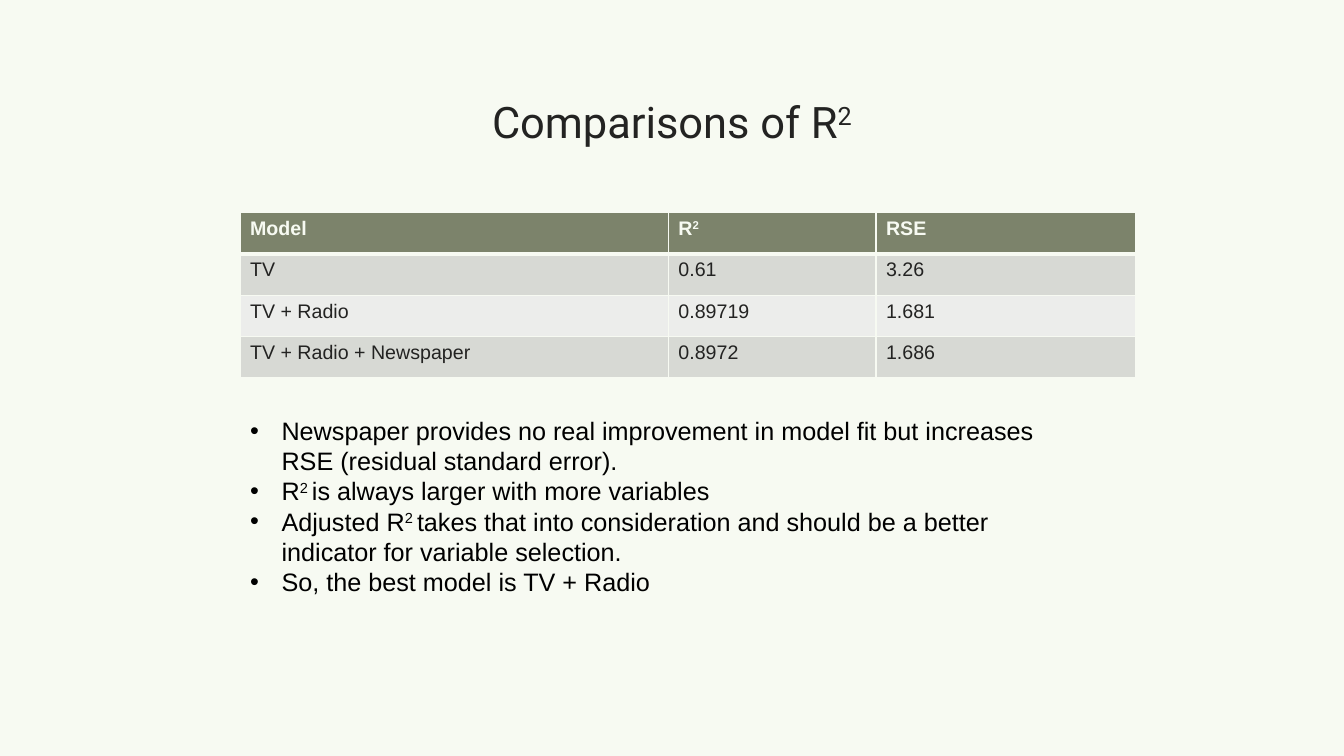
from lxml.etree import SubElement
from pptx import Presentation
from pptx.dml.color import RGBColor
from pptx.enum.text import MSO_ANCHOR as Anchor, MSO_AUTO_SIZE as AutoSize, PP_ALIGN as Align
from pptx.oxml.ns import qn
from pptx.util import Pt

COLORS = {
    "background": "F7FAF2", "ink": "232322", "black": "000000",
    "header": "7C836B", "band_dark": "D7D9D4", "band_light": "ECEDEB",
}
# Text between bars is superscript
TITLE = "Comparisons of R|2|"
ROWS = [
    ("Model", "R|2|", "RSE"),
    ("TV", "0.61", "3.26"),
    ("TV + Radio", "0.89719", "1.681"),
    ("TV + Radio + Newspaper", "0.8972", "1.686"),
]
COLUMN_WIDTHS = (306, 148.3, 185.8)
POINTS = [
    "Newspaper provides no real improvement in model fit but increases RSE (residual standard error).",
    "R|2 |is always larger with more variables",
    "Adjusted R|2 |takes that into consideration and should be a better indicator for variable selection.",
    "So, the best model is TV + Radio",
]


def color(name):
    return RGBColor.from_string(COLORS[name])


def write(paragraph, text, size, color_name, font="Arial", bold=False):
    for index, piece in enumerate(text.split("|")):
        if not piece:
            continue
        run = paragraph.add_run()
        run.text = piece
        run.font.name, run.font.size, run.font.bold = font, Pt(size), bold
        run.font.color.rgb = color(color_name)
        if index % 2:
            run._r.get_or_add_rPr().set("baseline", "30000")


def place(shape, box):
    shape.left, shape.top, shape.width, shape.height = (Pt(value) for value in box)


def add_title(slide, box):
    title = slide.shapes.title
    place(title, box)
    frame = title.text_frame
    frame.auto_size = AutoSize.NONE
    frame.vertical_anchor = Anchor.MIDDLE
    frame.margin_left = frame.margin_right = frame.margin_top = frame.margin_bottom = Pt(7.2)
    frame.paragraphs[0].alignment = Align.CENTER
    write(frame.paragraphs[0], TITLE, 31, "ink", "Roboto")


def set_borders(cell, bottom_width):
    properties = cell._tc.get_or_add_tcPr()
    for side, width in (("L", 1), ("R", 1), ("T", 1), ("B", bottom_width)):
        line = SubElement(properties, qn(f"a:ln{side}"), w=str(Pt(width)))
        fill = SubElement(line, qn("a:solidFill"))
        SubElement(fill, qn("a:srgbClr"), val=COLORS["background"])


def add_model_table(slide, box):
    frame = slide.shapes.add_table(len(ROWS), len(COLUMN_WIDTHS), *(Pt(value) for value in box))
    table = frame.table
    for column, width in zip(table.columns, COLUMN_WIDTHS):
        column.width = Pt(width)
    for row_index, row in enumerate(ROWS):
        is_header = row_index == 0
        band = "header" if is_header else ("band_light", "band_dark")[row_index % 2]
        for column_index, text in enumerate(row):
            cell = table.cell(row_index, column_index)
            # The rule under the header is heavier, on both cells that share it
            set_borders(cell, 3 if is_header else 1)
            if row_index == 1:
                cell._tc.tcPr.find(qn("a:lnT")).set("w", str(Pt(3)))
            cell.fill.solid()
            cell.fill.fore_color.rgb = color(band)
            write(cell.text_frame.paragraphs[0], text, 14,
                  "background" if is_header else "ink", bold=is_header)


def add_bullets(slide, box):
    body = slide.placeholders[1]
    place(body, box)
    frame = body.text_frame
    frame.auto_size = AutoSize.NONE
    frame.vertical_anchor = Anchor.TOP
    for index, text in enumerate(POINTS):
        paragraph = frame.paragraphs[0] if index == 0 else frame.add_paragraph()
        paragraph.space_before = paragraph.space_after = Pt(0)
        paragraph.line_spacing = Pt(21.6)
        properties = paragraph._p.get_or_add_pPr()
        properties.set("marL", str(Pt(22.5)))
        properties.set("indent", str(-Pt(22.5)))
        bullet_color = SubElement(properties, qn("a:buClr"))
        SubElement(bullet_color, qn("a:srgbClr"), val=COLORS["black"])
        SubElement(properties, qn("a:buFont"), typeface="Arial")
        SubElement(properties, qn("a:buChar"), char="•")
        write(paragraph, text, 18, "black")


def main():
    presentation = Presentation()
    presentation.slide_width, presentation.slide_height = Pt(960), Pt(540)
    slide = presentation.slides.add_slide(presentation.slide_layouts[1])
    slide.background.fill.solid()
    slide.background.fill.fore_color.rgb = color("background")
    add_title(slide, (75.6, 57, 808.6, 59))
    add_model_table(slide, (171.4, 152, sum(COLUMN_WIDTHS), 118))
    add_bullets(slide, (171.4, 293, 582.5, 138.2))
    presentation.save("out.pptx")


if __name__ == "__main__":
    main()
